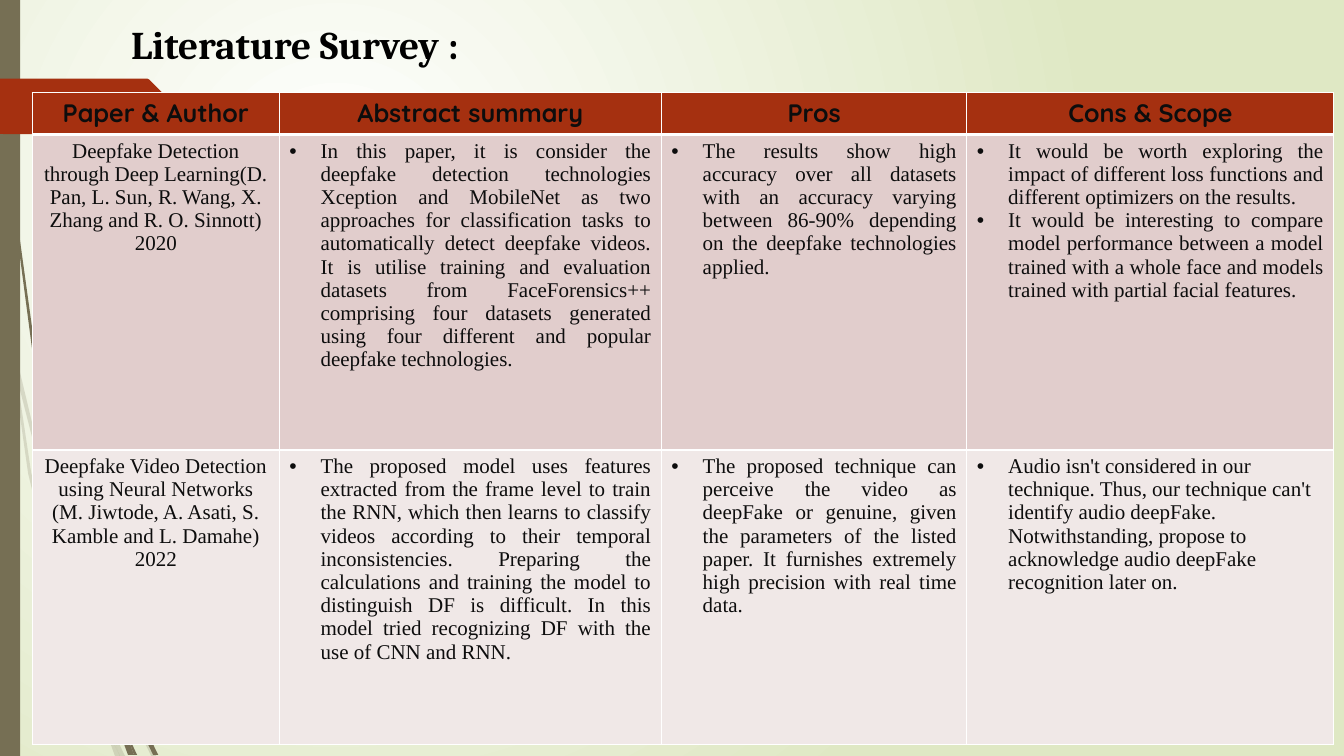
from dataclasses import dataclass
from lxml import etree
from pptx import Presentation
from pptx.dml.color import RGBColor
from pptx.enum.shapes import MSO_SHAPE
from pptx.enum.text import MSO_ANCHOR, PP_ALIGN
from pptx.oxml.ns import qn
from pptx.util import Inches, Pt

CENTER, JUSTIFY, LEFT = PP_ALIGN.CENTER, PP_ALIGN.JUSTIFY, PP_ALIGN.LEFT
TOP = MSO_ANCHOR.TOP
RECTANGLE = MSO_SHAPE.RECTANGLE


@dataclass(frozen=True)
class Theme:
    olive: str = "766F54"
    rust: str = "A53010"
    ink: str = "0D0D0D"
    black: str = "000000"
    white: str = "FFFFFF"
    meadow: str = "DFE8C4"
    bands: tuple = ("E1CDCC", "F0E8E7")
    title_font: str = "Cambria"
    header_font: str = "Quicksand"
    body_font: str = "Times New Roman"
    title_size: float = 28
    header_size: float = 18
    body_size: float = 15


@dataclass(frozen=True)
class Box:
    left: float
    top: float
    width: float
    height: float

    def emu(self):
        return [Inches(side) for side in (self.left, self.top, self.width, self.height)]

    def region(self, left, top, width, height):
        return Box(self.left + left * self.width, self.top + top * self.height,
                   width * self.width, height * self.height)


THEME = Theme()
SLIDE = Box(0, 0, 13.33, 7.5)
INDENT = 0.31
COLUMNS = (2.45, 3.79, 3.03, 3.64)
ROWS = (0.38, 3.13, 2.92)

PALE_WISPS = (
    ((0.58, 5.22), (0.84, 5.99), (0.85, 5.86), (0.62, 5.2), (0.36, 4.37), (0.14, 3.45),
     (0.17, 3.76), (0.36, 4.5)),
    ((0.92, 6.07), (0.88, 5.96), (0.88, 6.1), (1.23, 6.94), (1.5, 7.5), (1.55, 7.5),
     (1.27, 6.92)),
    ((1.19, 7.5), (1.24, 7.5), (1.05, 7.11)),
    ((0.93, 6.83), (0.7, 6.19), (0.31, 4.69), (0.17, 3.76), (0.11, 3.5), (0.28, 4.7),
     (0.65, 6.21), (0.92, 6.93), (1.01, 7.14), (0.99, 7.07)),
    ((1.01, 7.14), (1.14, 7.5), (1.19, 7.5)),
    ((0.96, 6.92), (0.93, 6.83), (0.99, 7.07), (1.01, 7.14), (1.19, 7.5), (1.05, 7.11)),
)
DARK_WISPS = (
    ((0.07, 1.1), (0.17, 2.33), (0.33, 3.55), (0.56, 4.77), (0.57, 4.81), (0.55, 4.57),
     (0.55, 4.53), (0.36, 3.55), (0.19, 2.32), (0.08, 1.09), (0.05, 0.48), (0.04, 0),
     (0.03, 0), (0.04, 0.48)),
    ((1.13, 6.49), (1.1, 6.41), (1.11, 6.56), (1.32, 7.08), (1.52, 7.49), (1.57, 7.49),
     (1.36, 7.06)),
    ((1.33, 7.49), (1.36, 7.49), (1.22, 7.19)),
    ((1.17, 7.22), (1.27, 7.49), (1.31, 7.49)),
    ((1.16, 7.06), (1.1, 6.91), (1.16, 7.17), (1.17, 7.22), (1.3, 7.49), (1.33, 7.49),
     (1.22, 7.19)),
)
TAB_ARROW = ((1.74, 1.06), (1.47, 1.33), (1.46, 1.34), (0, 1.33), (0, 0.78), (1.46, 0.78),
             (1.48, 0.79), (1.73, 1.04))

HEADINGS = ("Paper & Author", "Abstract summary", "Pros", "Cons & Scope")
PAPERS = (
    (
        ("Deepfake Detection through Deep Learning(D. Pan, L. Sun, R. Wang, X. Zhang and R. O. Sinnott)",
         "2020"),
        ("In this paper, it is consider the deepfake detection technologies Xception and MobileNet as two approaches for classification tasks to automatically detect deepfake videos. It is utilise training and evaluation datasets from FaceForensics++ comprising four datasets generated using four different and popular deepfake technologies.",),
        ("The results show high accuracy over all datasets with an accuracy varying between 86-90% depending on the deepfake technologies applied.",),
        ("It would be worth exploring the impact of different loss functions and different optimizers on the results.",
         "It would be interesting to compare model performance between a model trained with a whole face and models trained with partial facial features."),
    ),
    (
        ("Deepfake Video Detection using Neural Networks",
         "(M. Jiwtode, A. Asati, S. Kamble and L. Damahe)",
         "2022"),
        ("The proposed model uses features extracted from the frame level to train the RNN, which then learns to classify videos according to their temporal inconsistencies. Preparing the calculations and training the model to distinguish DF is difficult. In this model tried recognizing DF with the use of CNN and RNN.",),
        ("The proposed technique can perceive the video as deepFake or genuine, given the parameters of the listed paper. It furnishes extremely high precision with real time data.",),
        ("Audio isn't considered in our technique. Thus, our technique can't identify audio deepFake. Notwithstanding, propose to acknowledge audio deepFake recognition later on.",),
    ),
)


def color(value):
    return RGBColor.from_string(value)


def write(frame, lines, *, size, font, ink, bold=False, align=LEFT, bullet=False):
    for index, line in enumerate(lines):
        para = frame.paragraphs[0] if index == 0 else frame.add_paragraph()
        para.alignment = align
        if bullet:
            properties = para._p.get_or_add_pPr()
            properties.set("marL", str(Inches(INDENT)))
            properties.set("indent", str(-Inches(INDENT)))
            etree.SubElement(properties, qn("a:buFont"), typeface="Arial")
            etree.SubElement(properties, qn("a:buChar"), char="•")
        span = para.add_run()
        span.text = line
        span.font.size, span.font.name, span.font.bold = Pt(size), font, bold
        span.font.color.rgb = color(ink)


def paint(shape, fill, opacity=100):
    shape.shadow.inherit = False
    shape.fill.solid()
    shape.fill.fore_color.rgb = color(fill)
    shape.line.fill.background()
    if opacity < 100:
        swatch = shape._element.spPr.find(".//" + qn("a:srgbClr"))
        etree.SubElement(swatch, qn("a:alpha"), val=str(opacity * 1000))


def add_outline(page, box, points, fill, opacity=100):
    corners = [(Inches(box.left + x), Inches(box.top + y)) for x, y in points]
    builder = page.shapes.build_freeform(*corners[0])
    builder.add_line_segments(corners[1:])
    paint(builder.convert_to_shape(), fill, opacity)


def add_backdrop(page, box):
    fill = page.background.fill
    fill.gradient()
    for stop, value in zip(fill.gradient_stops, (THEME.white, THEME.meadow)):
        stop.color.rgb = color(value)
    gradient = page._element.find(".//" + qn("a:gradFill"))
    gradient.remove(gradient.find(qn("a:lin")))
    radial = etree.Element(qn("a:path"))
    radial.set("path", "circle")
    etree.SubElement(radial, qn("a:fillToRect"), l="50000", t="50000", r="100000", b="100000")
    gradient.find(qn("a:gsLst")).addnext(radial)
    for wisps, opacity in ((PALE_WISPS, 20), (DARK_WISPS, 100)):
        for points in wisps:
            add_outline(page, box, points, THEME.olive, opacity)
    bar = page.shapes.add_shape(RECTANGLE, *box.region(0, 0, 0.015, 1).emu())
    paint(bar, THEME.olive)
    add_outline(page, box, TAB_ARROW, THEME.rust)


def add_title(page, box, text):
    title = page.shapes.title
    title.left, title.top, title.width, title.height = box.emu()
    title.text_frame.vertical_anchor = TOP
    write(title.text_frame, [text], size=THEME.title_size, font=THEME.title_font,
          ink=THEME.black, bold=True)


def style_cell(cell, fill, top, bottom):
    cell.fill.solid()
    cell.fill.fore_color.rgb = color(fill)
    properties = cell._tc.get_or_add_tcPr()
    for index, (side, width) in enumerate((("L", 1), ("R", 1), ("T", top), ("B", bottom))):
        border = etree.Element(qn(f"a:ln{side}"), w=str(Pt(width)))
        solid = etree.SubElement(border, qn("a:solidFill"))
        etree.SubElement(solid, qn("a:srgbClr"), val=THEME.white)
        properties.insert(index, border)


def add_survey(page, box):
    table = page.shapes.add_table(len(ROWS), len(COLUMNS), *box.emu()).table
    table.horz_banding = False
    for column, share in zip(table.columns, COLUMNS):
        column.width = Inches(box.width * share / sum(COLUMNS))
    for row, share in zip(table.rows, ROWS):
        row.height = Inches(box.height * share / sum(ROWS))
    for index, heading in enumerate(HEADINGS):
        cell = table.cell(0, index)
        style_cell(cell, THEME.rust, 1, 3)
        write(cell.text_frame, [heading], size=THEME.header_size, font=THEME.header_font,
              ink=THEME.ink, bold=True, align=CENTER)
    for row, (paper, band) in enumerate(zip(PAPERS, THEME.bands), 1):
        aligns = (CENTER, JUSTIFY, JUSTIFY, JUSTIFY if row == 1 else LEFT)
        for index, (lines, align) in enumerate(zip(paper, aligns)):
            cell = table.cell(row, index)
            style_cell(cell, band, 3 if row == 1 else 1, 1)
            write(cell.text_frame, lines, size=THEME.body_size, font=THEME.body_font,
                  ink=THEME.ink, align=align, bullet=index > 0)


def main():
    deck = Presentation()
    deck.slide_width, deck.slide_height = Inches(SLIDE.width), Inches(SLIDE.height)
    page = deck.slides.add_slide(deck.slide_layouts[5])
    add_backdrop(page, SLIDE)
    add_title(page, SLIDE.region(0.09, 0.02, 0.35, 0.08), "Literature Survey :")
    add_survey(page, Box(0.32, 0.92, sum(COLUMNS), sum(ROWS)))
    deck.save("out.pptx")


if __name__ == "__main__":
    main()
